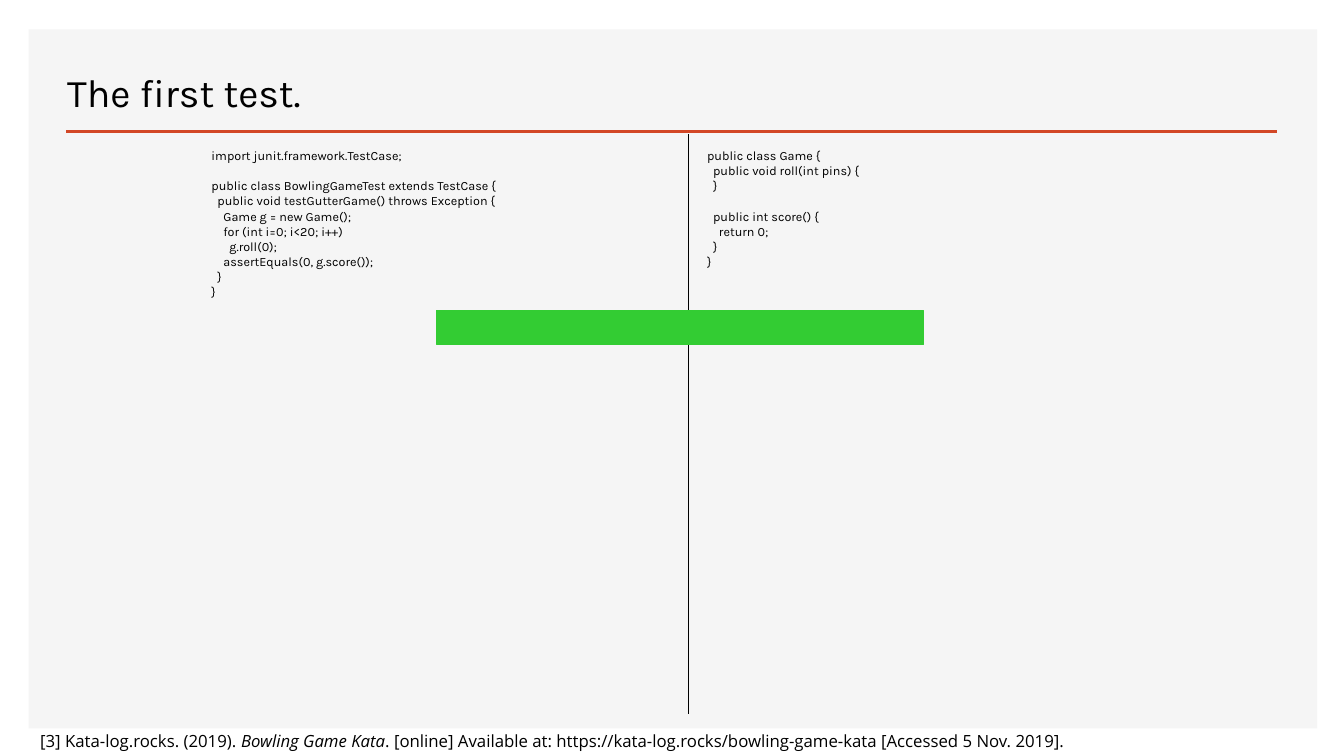
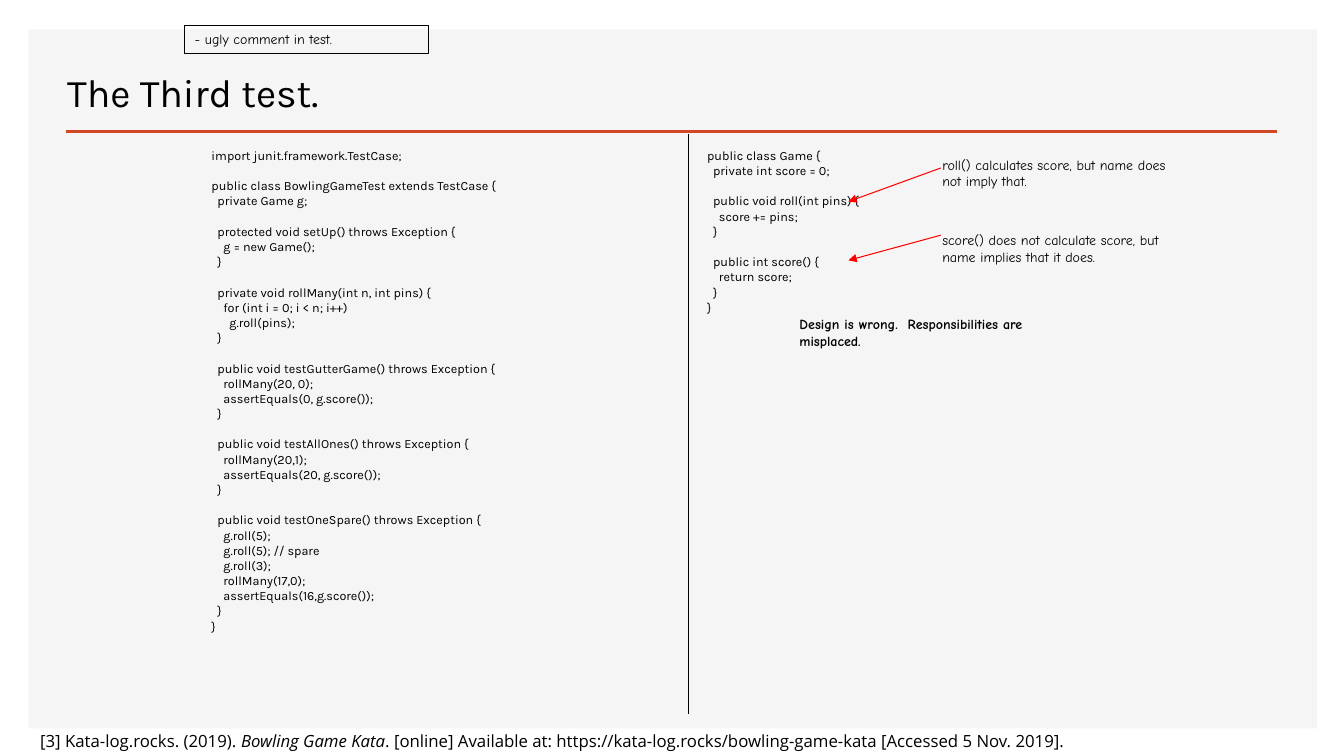
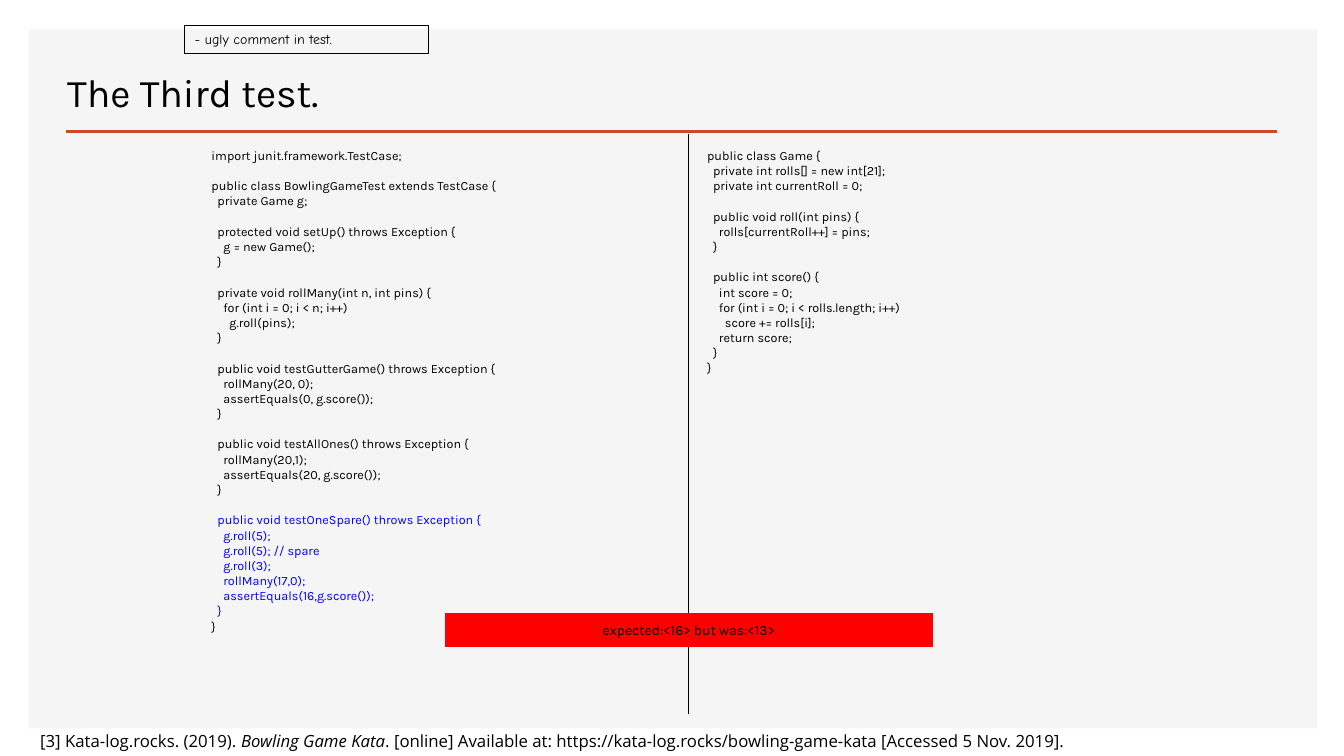
from dataclasses import dataclass

from lxml.etree import SubElement
from pptx import Presentation
from pptx.dml.color import RGBColor
from pptx.enum.shapes import MSO_CONNECTOR, MSO_SHAPE
from pptx.enum.text import MSO_ANCHOR, MSO_AUTO_SIZE, PP_ALIGN
from pptx.oxml.ns import qn
from pptx.util import Inches, Pt


@dataclass(frozen=True)
class Theme:
    ink: str = "000000"
    panel: str = "F5F5F5"
    rule: str = "D24726"
    good: str = "33CC33"
    bad: str = "FF0000"
    fresh: str = "0000FF"
    main: str = "Karla"
    hand: str = "Comic Neue"
    cite: str = "Open Sans"
    title: float = 28
    code: float = 9
    note: float = 10
    foot: float = 12
    pitch: float = 10.9
    thin: float = 0.75
    thick: float = 2


@dataclass(frozen=True)
class Box:
    """A rectangle in columns and rows of the grid."""
    col: float
    row: float
    wide: float
    high: float


@dataclass(frozen=True)
class Chunk:
    """Lines of code in one colour; an empty line opens a gap."""
    text: str
    ink: str = Theme.ink


@dataclass(frozen=True)
class Note:
    text: str
    box: Box
    bold: bool = False
    frame: bool = False


@dataclass(frozen=True)
class Line:
    start: tuple[float, float]
    end: tuple[float, float]
    ink: str = Theme.ink
    width: float = Theme.thin
    arrow: bool = False


@dataclass(frozen=True)
class Bar:
    col: float
    row: float
    fill: str
    text: str = ""


@dataclass(frozen=True)
class Page:
    title: str
    test: tuple[Chunk, ...]
    game: str
    bars: tuple[Bar, ...] = ()
    notes: tuple[Note, ...] = ()
    lines: tuple[Line, ...] = ()


THEME = Theme()
COLS, ROWS, CELL = 160, 90, 1 / 12
TEST_COL, GAME_COL, CODE_ROW, CODE_WIDE = 24, 83, 17, 53
TITLE = Box(6.8, 5.9, 90.2, 8.4)
PANEL = Box(3.4, 3.5, 153.4, 83.2)
FOOT = Box(3.6, 86.4, 152.4, 3.6)
RULE = Line((7.9, 15.7), (152, 15.7), THEME.rule, THEME.thick)
SPLIT = Line((82, 16), (82, 85))
CITE = (
    ("[3] Kata-log.rocks. (2019). ", False),
    ("Bowling Game Kata", True),
    (". [online] Available at: https://kata-log.rocks/bowling-game-kata"
     " [Accessed 5 Nov. 2019].", False),
)

HEAD = """import junit.framework.TestCase;

public class BowlingGameTest extends TestCase {"""

GUTTER = """  public void testGutterGame() throws Exception {
    Game g = new Game();
    for (int i=0; i<20; i++)
      g.roll(0);
    assertEquals(0, g.score());
  }
}"""

SUITE = """  private Game g;

  protected void setUp() throws Exception {
    g = new Game();
  }

  private void rollMany(int n, int pins) {
    for (int i = 0; i < n; i++)
      g.roll(pins);
  }

  public void testGutterGame() throws Exception {
    rollMany(20, 0);
    assertEquals(0, g.score());
  }

  public void testAllOnes() throws Exception {
    rollMany(20,1);
    assertEquals(20, g.score());
  }
"""

SPARE = """  public void testOneSpare() throws Exception {
    g.roll(5);
    g.roll(5); // spare
    g.roll(3);
    rollMany(17,0);
    assertEquals(16,g.score());
  }"""

STUB = """public class Game {
  public void roll(int pins) {
  }

  public int score() {
    return 0;
  }
}"""

SUM = """public class Game {
  private int score = 0;

  public void roll(int pins) {
    score += pins;
  }

  public int score() {
    return score;
  }
}"""

ARRAY = """public class Game {
  private int rolls[] = new int[21];
  private int currentRoll = 0;

  public void roll(int pins) {
    rolls[currentRoll++] = pins;
  }

  public int score() {
    int score = 0;
    for (int i = 0; i < rolls.length; i++)
      score += rolls[i];
    return score;
  }
}"""


def third(ink: str) -> tuple[Chunk, ...]:
    """The test class with its newest test in the given colour."""
    return Chunk(HEAD), Chunk(SUITE), Chunk(SPARE, ink), Chunk("}")


def remark(text: str, col: float, row: float, bold: bool = False) -> Note:
    return Note(text, Box(col, row, 29, 5.2), bold)


UGLY = Note("- ugly comment in test.", Box(22, 3, 29, 3.4), frame=True)

PAGES = (
    Page("The first test.", (Chunk(HEAD), Chunk(GUTTER)), STUB,
         bars=(Bar(52, 37, THEME.good),)),
    Page("The Third test.", third(THEME.ink), SUM,
         notes=(
             UGLY,
             remark("roll() calculates score, but name does not imply that.",
                    111, 18),
             remark("score() does not calculate score, but name implies"
                    " that it does.", 111, 27),
             remark("Design is wrong.  Responsibilities are misplaced.",
                    94, 37, bold=True),
         ),
         lines=(
             Line((112, 20), (101, 24), THEME.bad, arrow=True),
             Line((112, 28), (101, 31), THEME.bad, arrow=True),
         )),
    Page("The Third test.", third(THEME.fresh), ARRAY,
         bars=(Bar(53, 73, THEME.bad, "expected:<16> but was:<13>"),),
         notes=(UGLY,)),
)


def grid(count: float) -> int:
    return Inches(count * CELL)


def place(box: Box) -> tuple[int, ...]:
    return tuple(grid(n) for n in (box.col, box.row, box.wide, box.high))


def style(font, face: str, size: float, ink: str = THEME.ink,
          bold: bool = False, slant: bool = False) -> None:
    font.name, font.size = face, Pt(size)
    font.bold, font.italic = bold, slant
    font.color.rgb = RGBColor.from_string(ink)


def draw_rect(slide, box: Box, fill: str = "", edge: str = ""):
    shape = slide.shapes.add_shape(MSO_SHAPE.RECTANGLE, *place(box))
    shape.shadow.inherit = False
    if fill:
        shape.fill.solid()
        shape.fill.fore_color.rgb = RGBColor.from_string(fill)
    else:
        shape.fill.background()
    if edge:
        shape.line.color.rgb = RGBColor.from_string(edge)
        shape.line.width = Pt(THEME.thin)
    else:
        shape.line.fill.background()
    return shape


def draw_line(slide, line: Line):
    ends = [grid(n) for n in (*line.start, *line.end)]
    wire = slide.shapes.add_connector(MSO_CONNECTOR.STRAIGHT, *ends)
    wire.line.color.rgb = RGBColor.from_string(line.ink)
    wire.line.width = Pt(line.width)
    props = wire.element.spPr
    if line.arrow:
        SubElement(props.find(qn("a:ln")), qn("a:tailEnd"), type="triangle")
    SubElement(props, qn("a:effectLst"))
    return wire


def text_box(slide, box: Box):
    frame = slide.shapes.add_textbox(*place(box)).text_frame
    frame.word_wrap = True
    frame.auto_size = MSO_AUTO_SIZE.SHAPE_TO_FIT_TEXT
    return frame


def draw_code(slide, col: float, chunks: tuple[Chunk, ...]) -> None:
    rows = [(text, part.ink) for part in chunks
            for text in part.text.split("\n")]
    high = (len(rows) * THEME.pitch / 72 + 0.1) / CELL
    frame = text_box(slide, Box(col, CODE_ROW, CODE_WIDE, high))
    frame.text = "\n".join(text for text, _ in rows if text)
    paras = iter(frame.paragraphs)
    gap = False
    for text, ink in rows:
        if text:
            para = next(paras)
            style(para.runs[0].font, THEME.main, THEME.code, ink)
            if gap:
                para.space_before = Pt(THEME.pitch)
        gap = not text


def draw_note(slide, note: Note) -> None:
    if note.frame:
        frame = draw_rect(slide, note.box, edge=THEME.ink).text_frame
        frame.vertical_anchor = MSO_ANCHOR.TOP
        frame.word_wrap = True
    else:
        frame = text_box(slide, note.box)
    para = frame.paragraphs[0]
    para.text = note.text
    para.alignment = PP_ALIGN.LEFT
    style(para.runs[0].font, THEME.hand, THEME.note, bold=note.bold)


def draw_bar(slide, bar: Bar) -> None:
    shape = draw_rect(slide, Box(bar.col, bar.row, 58, 4), bar.fill, bar.fill)
    if bar.text:
        frame = shape.text_frame
        frame.word_wrap = False
        frame.vertical_anchor = MSO_ANCHOR.MIDDLE
        frame.text = bar.text
        para = frame.paragraphs[0]
        para.alignment = PP_ALIGN.CENTER
        style(para.runs[0].font, THEME.main, THEME.note)


def draw_title(slide, text: str) -> None:
    title = slide.shapes.title
    title.left, title.top, title.width, title.height = place(TITLE)
    frame = title.text_frame
    frame.text = text
    frame.auto_size = MSO_AUTO_SIZE.NONE
    frame.vertical_anchor = MSO_ANCHOR.BOTTOM
    para = frame.paragraphs[0]
    para.alignment = PP_ALIGN.LEFT
    style(para.runs[0].font, THEME.main, THEME.title)


def draw_foot(slide) -> None:
    para = text_box(slide, FOOT).paragraphs[0]
    for text, slant in CITE:
        run = para.add_run()
        run.text = text
        style(run.font, THEME.cite, THEME.foot, slant=slant)


def dress(layout, slide) -> None:
    """Draw the panel and rule on a slide, then move them to its layout."""
    for spare in list(layout.placeholders)[1:]:
        layout.shapes.element.remove(spare.element)
    back = draw_rect(slide, PANEL, THEME.panel), draw_line(slide, RULE)
    for spot, shape in enumerate(back, 2):
        layout.shapes.element.insert(spot, shape.element)


def draw_page(slide, page: Page) -> None:
    draw_title(slide, page.title)
    draw_code(slide, TEST_COL, page.test)
    draw_line(slide, SPLIT)
    draw_code(slide, GAME_COL, (Chunk(page.game),))
    for line in page.lines:
        draw_line(slide, line)
    for note in page.notes:
        draw_note(slide, note)
    for bar in page.bars:
        draw_bar(slide, bar)
    draw_foot(slide)


def main() -> None:
    deck = Presentation()
    deck.slide_width, deck.slide_height = grid(COLS), grid(ROWS)
    layout = deck.slide_layouts[5]
    slides = [deck.slides.add_slide(layout) for _ in PAGES]
    dress(layout, slides[0])
    for slide, page in zip(slides, PAGES):
        draw_page(slide, page)
    deck.save("out.pptx")


if __name__ == "__main__":
    main()
